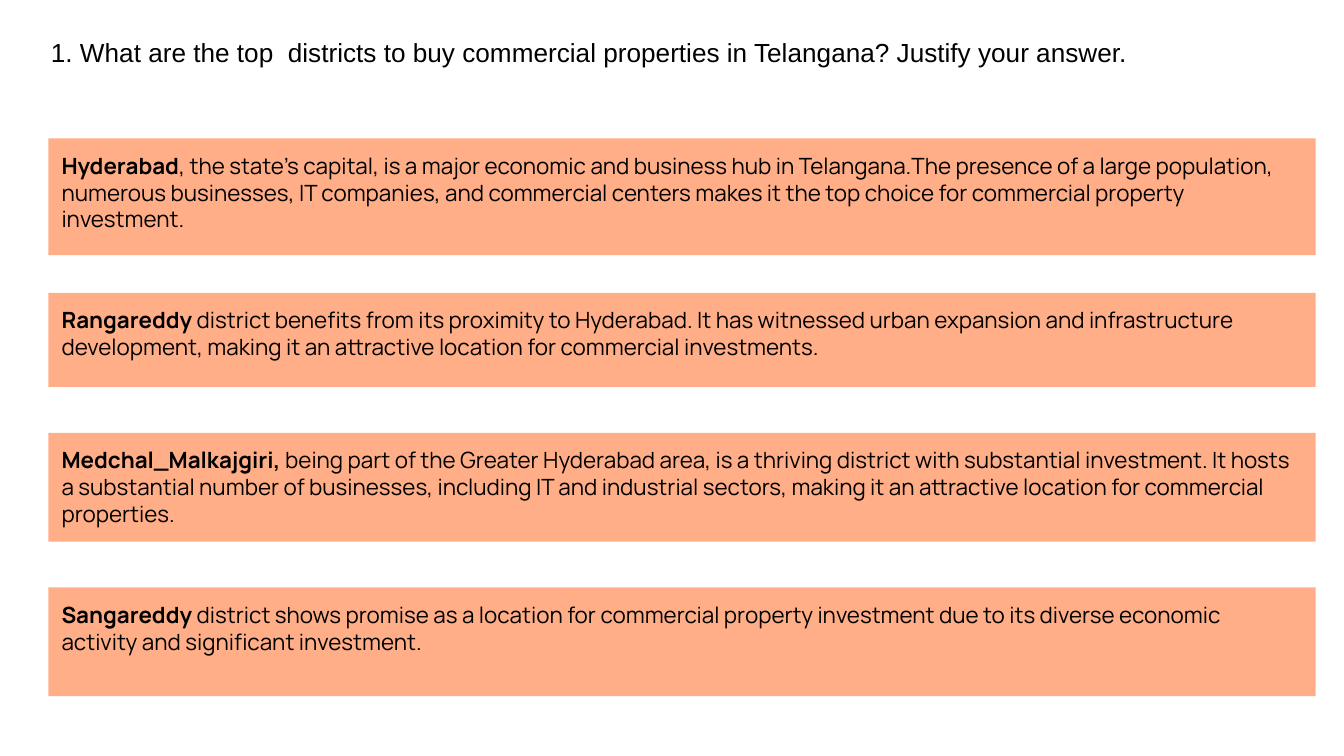
from pptx import Presentation
from pptx.dml.color import RGBColor
from pptx.enum.shapes import MSO_SHAPE
from pptx.enum.text import MSO_ANCHOR, PP_ALIGN
from pptx.util import Inches, Pt

RECT = MSO_SHAPE.RECTANGLE
TOP = MSO_ANCHOR.TOP
LEFT = PP_ALIGN.LEFT

BLACK = RGBColor(0x00, 0x00, 0x00)
PEACH = RGBColor(0xFF, 0xAE, 0x88)

SLIDE_W = 10
SLIDE_H = SLIDE_W * 9 / 16
CARD_X, CARD_W = 0.36, 9.43
INSET = 0.1

QUESTION = ("1. What are the top  districts to buy commercial properties "
            "in Telangana? Justify your answer.")

# top, height, district, reason
DISTRICTS = [
    (1.03, 0.87, "Hyderabad",
     ", the state’s capital, is a major economic and business hub in "
     "Telangana.The presence of a large population, numerous businesses, "
     "IT companies, and commercial centers makes it the top choice for "
     "commercial property investment."),
    (2.18, 0.7, "Rangareddy",
     " district benefits from its proximity to Hyderabad. It has witnessed "
     "urban expansion and infrastructure development, making it an "
     "attractive location for commercial investments."),
    (3.22, 0.81, "Medchal_Malkajgiri, ",
     "being part of the Greater Hyderabad area, is a thriving district with "
     "substantial investment. It hosts a substantial number of businesses, "
     "including IT and industrial sectors, making it an attractive location "
     "for commercial properties."),
    (4.37, 0.81, "Sangareddy ",
     "district shows promise as a location for commercial property "
     "investment due to its diverse economic activity and significant "
     "investment."),
]


def add_run(p, text, font="Manrope", size=12, bold=False, color=BLACK):
    r = p.add_run()
    r.text = text
    r.font.name = font
    r.font.size = Pt(size)
    r.font.bold = bold
    r.font.color.rgb = color


def first_paragraph(sp):
    """Set up the text frame and return its left-aligned paragraph."""
    tf = sp.text_frame
    tf.word_wrap = True
    tf.vertical_anchor = TOP
    tf.margin_left = tf.margin_right = Inches(INSET)
    tf.margin_top = tf.margin_bottom = Inches(INSET)
    p = tf.paragraphs[0]
    p.alignment = LEFT
    return p


def add_question(s, x, y, w, h):
    sp = s.shapes.add_textbox(Inches(x), Inches(y), Inches(w), Inches(h))
    add_run(first_paragraph(sp), QUESTION, font="Arial", size=14)


def add_district_card(s, x, y, w, h, district, reason):
    sp = s.shapes.add_shape(RECT, Inches(x), Inches(y), Inches(w), Inches(h))
    sp.shadow.inherit = False
    sp.fill.solid()
    sp.fill.fore_color.rgb = PEACH
    sp.line.fill.background()
    p = first_paragraph(sp)
    add_run(p, district, bold=True)
    add_run(p, reason)


def main():
    prs = Presentation()
    prs.slide_width, prs.slide_height = Inches(SLIDE_W), Inches(SLIDE_H)
    s = prs.slides.add_slide(prs.slide_layouts[6])
    add_question(s, 0.28, 0.17, 9.32, 0.7)
    for y, h, district, reason in DISTRICTS:
        add_district_card(s, CARD_X, y, CARD_W, h, district, reason)
    prs.save("out.pptx")


if __name__ == "__main__":
    main()
